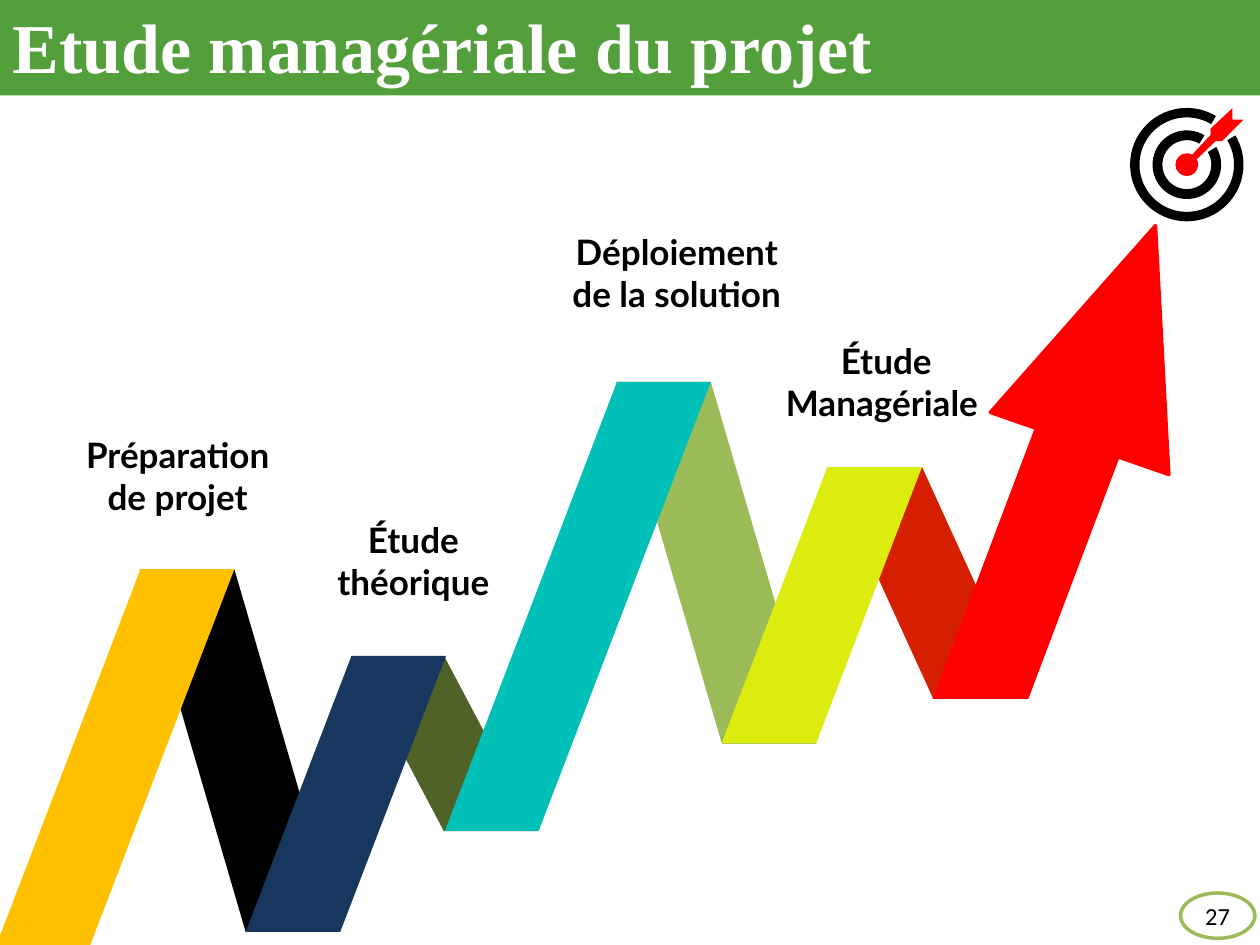
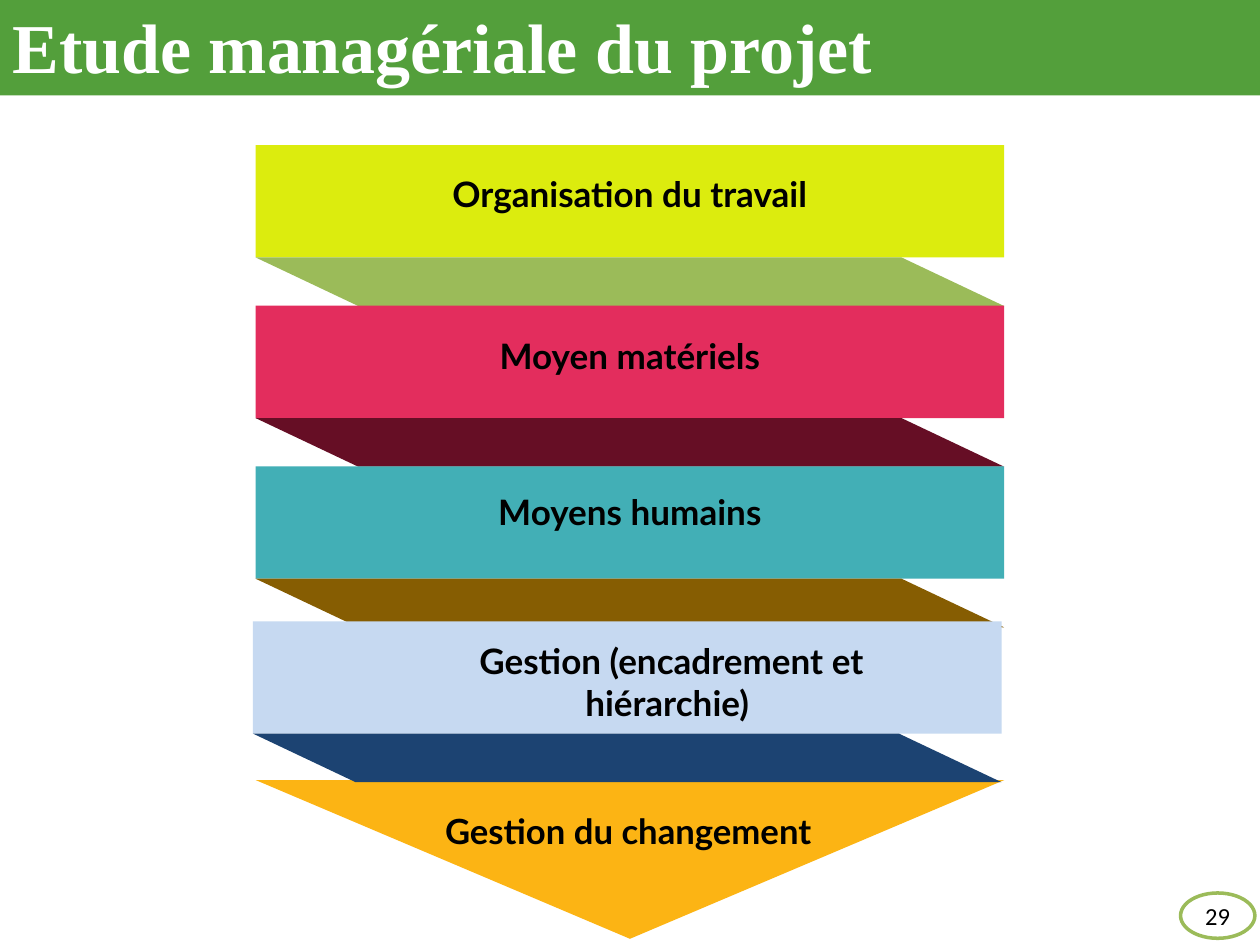
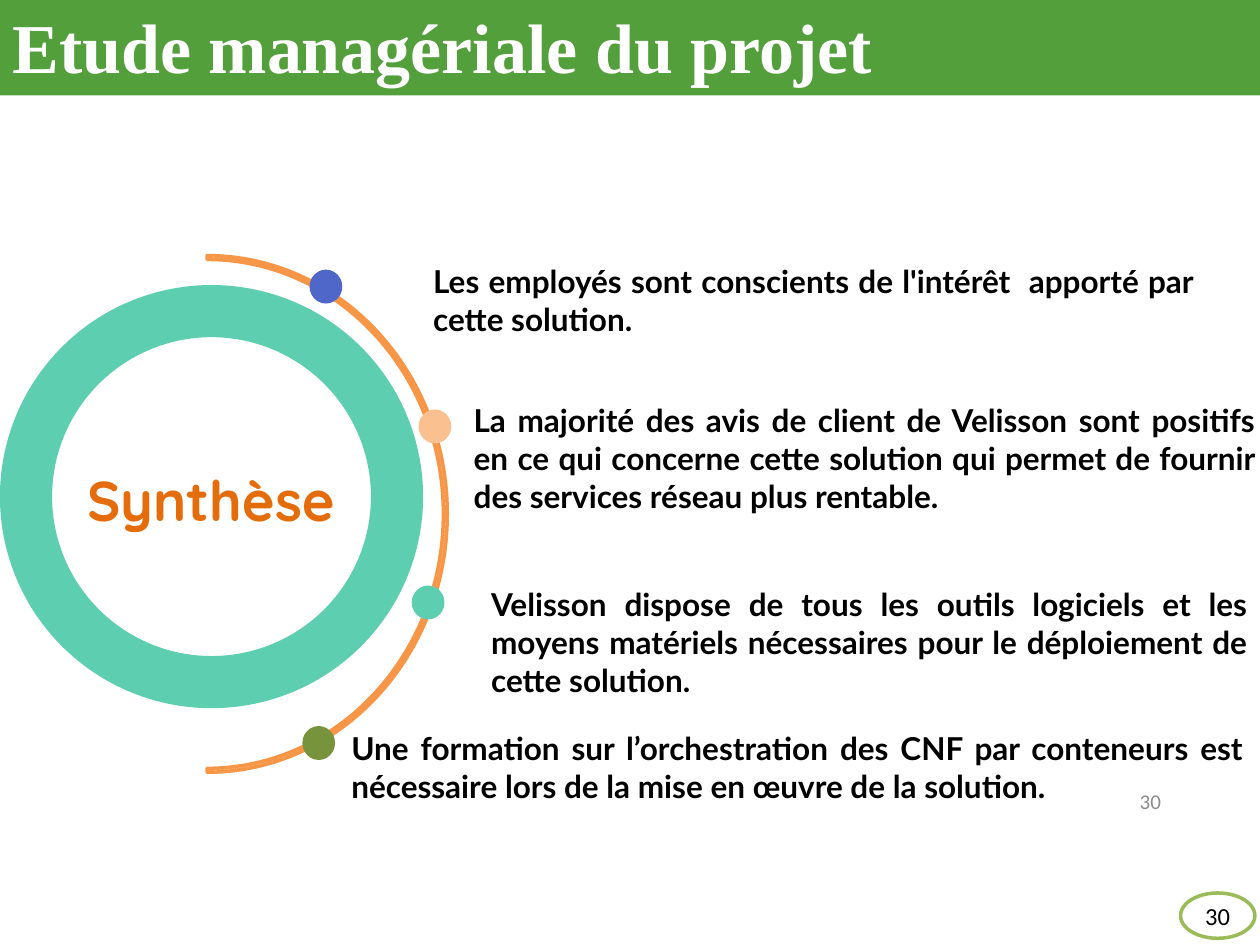
import math

import pptx
import pptx.dml.color
import pptx.enum.shapes
import pptx.enum.text
import pptx.oxml.ns
import pptx.util

Pt = pptx.util.Pt
qn = pptx.oxml.ns.qn
Kind = pptx.enum.shapes.MSO_SHAPE
Align = pptx.enum.text.PP_ALIGN
Anchor = pptx.enum.text.MSO_ANCHOR
Fit = pptx.enum.text.MSO_AUTO_SIZE

THEME = {
    "colors": {
        "band": "539F3B", "white": "FFFFFF", "black": "000000", "green": "9BBB59",
        "olive": "4F6228", "navy": "17375E", "rust": "D61F00", "lime": "DCEC0E",
        "gold": "FFC000", "teal": "00C0B7", "red": "FF0000", "pink": "E32D5D",
        "wine": "660E25", "lagoon": "42AFB6", "brown": "865D02", "amber": "FCB414",
        "sky": "C6D9F1", "blue": "1C4372", "mint": "5DCEAF", "orange": "F79646",
        "rusty": "E46C0A", "indigo": "4E67C8", "peach": "FAC090", "moss": "77933C",
        "grey": "8C8C8C",
    },
    "styles": {
        "title": ("Times New Roman", 40, True, "white"),
        "label": ("Lato", 20, True, "black"),
        "tip": ("Lato", 19.8, True, "black"),
        "finding": ("Lato", 18, True, "black"),
        "hub": ("Quicksand", 32, True, "rusty"),
        "badge": ("Calibri", 14, False, "black"),
        "number": ("Calibri", 12, False, "grey"),
    },
}

TITLE = "Etude managériale du projet"
TITLE_BAND = (0, -2.2, 720, 56.7)
BADGE = (674.6, 510.3, 42.5, 25.9)

SHORT, TALL, HEADED = 0.528, 0.647, 0.568
STRIPES = [
    ("green", True, SHORT, (352.1, 218, 114.5, 207)),
    ("black", True, SHORT, (79.9, 325.4, 114.5, 207)),
    ("olive", True, SHORT, (200.9, 375, 105.8, 100)),
    ("navy", False, SHORT, (140.4, 374.8, 114.5, 157.7)),
    ("rust", True, SHORT, (472.9, 267, 114.5, 132.4)),
    ("lime", False, SHORT, (412.3, 267, 114.5, 157.9)),
    ("gold", False, TALL, (-18, 325.3, 151.9, 256.3)),
    ("teal", False, TALL, (254.2, 218.4, 151.9, 256.4)),
    ("red", False, HEADED, (532.9, 208.7, 126.7, 190.7)),
]
ARROWHEAD = (584.6, 125.3, 108, 131.8)
STEPS = [
    ("Préparation de projet", (38.2, 244.1, 126.7, 77.8)),
    ("Déploiement de la solution", (316.9, 128.2, 139.7, 79.9)),
    ("Étude Managériale ", (427.9, 190.4, 157, 79.9)),
    ("Étude théorique", (172.9, 292.6, 126.7, 55.4)),
]
TARGET_CENTER = (678.2, 94.1)
TARGET_RINGS = [(32.4, 27), (19.6, 14)]
TARGET_GAP = (-31, 301)
DART = [(681.1, 88.6), (691.9, 77), (691.9, 73.4), (704.2, 61.9), (704.2, 68.4),
        (710.6, 68.4), (698.4, 80.6), (694.8, 80.6), (684, 90.9)]

RIBBON_SIZE = (427.8, 64.2)
FOLD_HEIGHT = 27.8
FOLD_SLANT = 58.7
RIBBONS = [
    ("lime", "green", (146.1, 82.9)),
    ("pink", "wine", (146.1, 174.7)),
    ("lagoon", "brown", (146.1, 266.5)),
    ("sky", "blue", (144.6, 355)),
]
RIBBON_POINT = (146.1, 445.8, 427.8, 90.7)
RESOURCES = [
    ("Organisation du travail", "label", (236.4, 95, 247, 31.7)),
    ("Moyen matériels", "label", (236.4, 187.6, 247, 31.7)),
    ("Moyens humains", "label", (236.4, 276.5, 247, 31.7)),
    ("Gestion (encadrement et hiérarchie) ", "label", (260.2, 361.8, 247, 55.4)),
    ("Gestion du changement", "tip", (235.4, 459.4, 247, 31.7)),
]

HUB = (0, 162.9, 241.8, 241.8)
HUB_THICKNESS = 29.8
HUB_LABEL = ("Synthèse ", (46.8, 260.2, 147.6, 44))
ORBIT_CENTER = (118.4, 293.7)
ORBIT_RADII = ((137.2, 147.6), (135, 145.4))
DOT_SIZE = (18.7, 19.4)
FINDINGS = [
    ("Les employés sont conscients de l'intérêt  apporté par cette solution.",
     (240.5, 146.2, 448.6, 72.7), "indigo", (176.9, 154.1)),
    ("La majorité des avis de client de Velisson sont positifs en ce qui concerne cette "
     "solution qui permet de fournir des services réseau plus rentable.",
     (263.6, 225.7, 460.8, 116.6), "peach", (239.2, 234)),
    ("Velisson dispose de tous les outils logiciels et les moyens matériels nécessaires "
     "pour le déploiement de cette solution.",
     (273.6, 330.9, 446.4, 72.7), "mint", (235.3, 334.6)),
    ("Une formation sur l’orchestration des CNF par conteneurs est  nécessaire lors de "
     "la mise en œuvre de la solution.",
     (193.7, 413.3, 530.6, 51.1), "moss", (172.8, 414.9)),
]
SMALL_NUMBER = (508.5, 447.1, 162, 21.6)


def assign(target, values):
    for name, value in values.items():
        setattr(target, name, value)


def color(name):
    return pptx.dml.color.RGBColor.from_string(THEME["colors"][name])


def paint(shape, fill, line=None):
    shape.shadow.inherit = False
    shape.fill.solid()
    shape.fill.fore_color.rgb = color(fill)
    if line:
        shape.line.color.rgb = color(line)
        shape.line.width = Pt(2)
    else:
        shape.line.fill.background()
    return shape


def add_preset(page, kind, area, fill, line=None, flip=None):
    shape = page.shapes.add_shape(kind, *map(Pt, area))
    if flip:
        shape._element.spPr.xfrm.set(flip, "1")
    return paint(shape, fill, line)


def add_slanted(page, area, ratio, fill, flip):
    shape = add_preset(page, Kind.PARALLELOGRAM, area, fill, flip="flipH" if flip else None)
    shape.adjustments[0] = ratio


def add_outline(page, start, segments, fill, line=None):
    builder = page.shapes.build_freeform(*map(Pt, start))
    builder.add_line_segments([(Pt(x), Pt(y)) for segment in segments for x, y in segment])
    shape = builder.convert_to_shape()
    nodes = iter(list(shape._element.iter(qn("a:lnTo"))))
    for segment in segments:
        curve = next(nodes)
        if len(segment) == 3:
            curve.tag = qn("a:cubicBezTo")
            for node in (next(nodes), next(nodes)):
                curve.append(node[0])
                node.getparent().remove(node)
    return paint(shape, fill, line)


def arc(center, radii, start, end):
    def place(angle, lean=0):
        c, s = math.cos(math.radians(angle)), math.sin(math.radians(angle))
        return (center[0] + radii[0] * (c - lean * s), center[1] + radii[1] * (s + lean * c))

    low, high = sorted((start, end))
    cuts = [low, *(a for a in range(-90, 361, 90) if low < a < high), high]
    if start > end:
        cuts.reverse()
    curves = []
    for a, b in zip(cuts, cuts[1:]):
        lean = 4 / 3 * math.tan(math.radians(b - a) / 4)
        curves.append((place(a, lean), place(b, -lean), place(b)))
    return place(start), curves


def add_open_ring(page, center, outer, inner, start, end, fill, line=None):
    first, outward = arc(center, outer, start, end)
    turn, inward = arc(center, inner, end, start)
    add_outline(page, first, [*outward, (turn,), *inward, (first,)], fill, line)


def write(shape, text, style, align, anchor=Anchor.TOP, inset=(7.2, 3.6)):
    frame = shape.text_frame
    side, edge = map(Pt, inset)
    assign(frame, {"word_wrap": True, "auto_size": Fit.NONE, "vertical_anchor": anchor,
                   "margin_left": side, "margin_right": side,
                   "margin_top": edge, "margin_bottom": edge})
    para = frame.paragraphs[0]
    para.alignment = align
    span = para.add_run()
    span.text = text
    face, size, bold, tint = THEME["styles"][style]
    assign(span.font, {"name": face, "size": Pt(size), "bold": bold})
    span.font.color.rgb = color(tint)


def add_text(page, text, area, style="label", align=Align.CENTER, **options):
    write(page.shapes.add_textbox(*map(Pt, area)), text, style, align, **options)


def add_page(deck):
    page = deck.slides.add_slide(deck.slide_layouts[5])
    title = page.shapes.title
    assign(title, dict(zip(("left", "top", "width", "height"), map(Pt, TITLE_BAND))))
    title.fill.solid()
    title.fill.fore_color.rgb = color("band")
    write(title, TITLE, "title", Align.LEFT, Anchor.MIDDLE)
    return page


def add_badge(page, number):
    badge = add_preset(page, Kind.OVAL, BADGE, "white", "green")
    write(badge, number, "badge", Align.CENTER, Anchor.MIDDLE, (0, 0))


def draw_steps(page):
    for fill, flip, ratio, area in STRIPES:
        add_slanted(page, area, ratio, fill, flip)
    head = add_preset(page, Kind.ISOSCELES_TRIANGLE, ARROWHEAD, "red", "red")
    head.rotation = 19.2
    for text, area in STEPS:
        add_text(page, text, area)
    for outer, inner in TARGET_RINGS:
        add_open_ring(page, TARGET_CENTER, (outer, outer), (inner, inner), *TARGET_GAP, "black")
    first, bull = arc(TARGET_CENTER, (6.5, 6.5), -27, 297)
    add_outline(page, first, [*bull, *((point,) for point in DART), (first,)], "red")


def draw_resources(page):
    add_preset(page, Kind.ISOSCELES_TRIANGLE, RIBBON_POINT, "amber", flip="flipV")
    width, height = RIBBON_SIZE
    for front, fold, (left, top) in RIBBONS:
        add_preset(page, Kind.RECTANGLE, (left, top, width, height), front)
        add_slanted(page, (left, top + height, width, FOLD_HEIGHT),
                    FOLD_SLANT / FOLD_HEIGHT, fold, True)
    for text, style, area in RESOURCES:
        add_text(page, text, area, style)


def draw_findings(page):
    hub = add_preset(page, Kind.DONUT, HUB, "mint")
    hub.adjustments[0] = HUB_THICKNESS / HUB[2]
    text, area = HUB_LABEL
    add_text(page, text, area, "hub", anchor=Anchor.BOTTOM, inset=(0, 0))
    add_open_ring(page, ORBIT_CENTER, *ORBIT_RADII, -90, 90, "white", "orange")
    for text, area, fill, corner in FINDINGS:
        add_text(page, text, area, "finding", Align.JUSTIFY)
        add_preset(page, Kind.OVAL, corner + DOT_SIZE, fill)
    add_text(page, "30", SMALL_NUMBER, "number", Align.RIGHT, anchor=Anchor.MIDDLE)


def main():
    deck = pptx.Presentation()
    assign(deck, {"slide_width": Pt(720), "slide_height": Pt(540)})
    for number, draw in (("27", draw_steps), ("29", draw_resources), ("30", draw_findings)):
        page = add_page(deck)
        draw(page)
        add_badge(page, number)
    deck.save("out.pptx")


if __name__ == "__main__":
    main()
